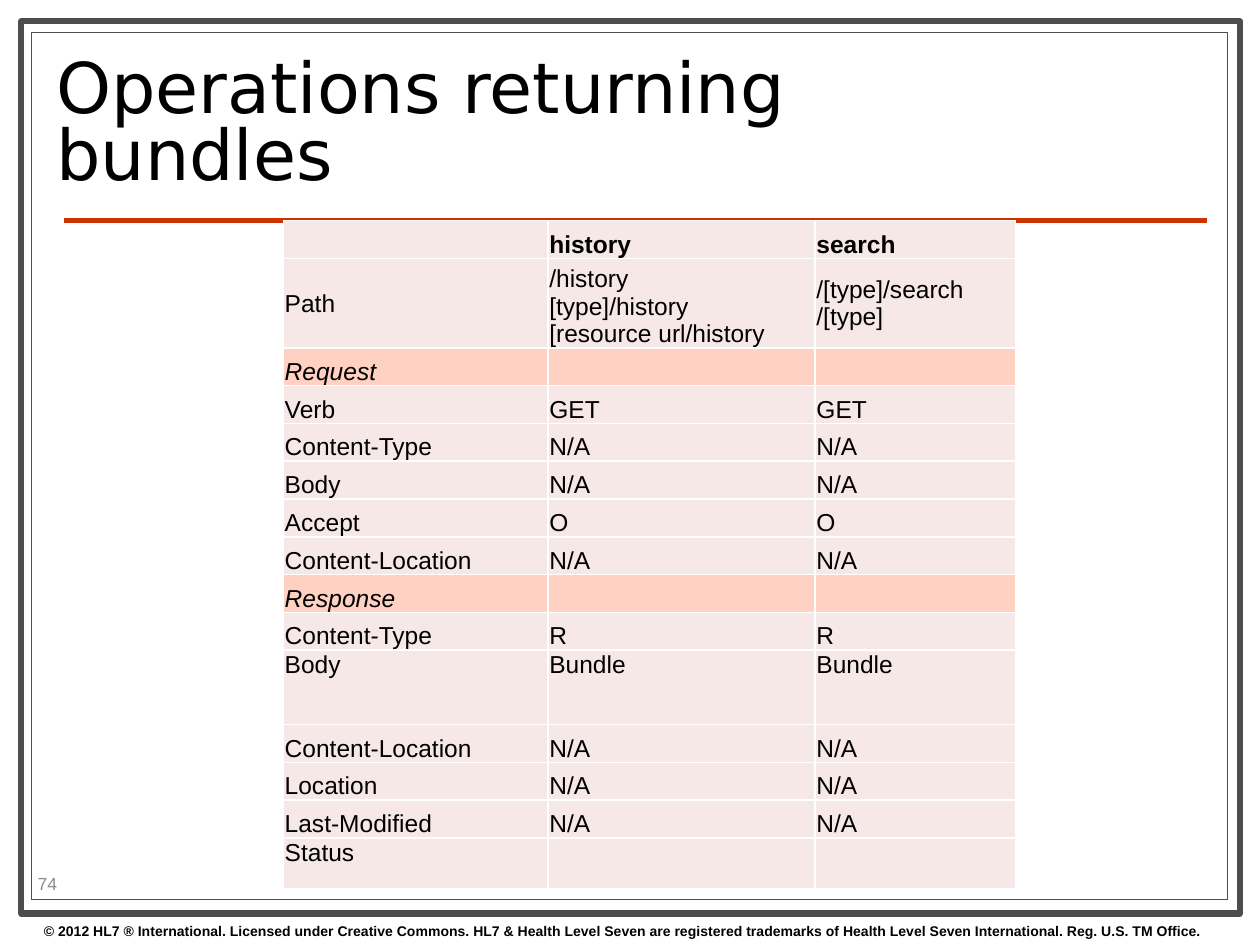
from pptx import Presentation
from pptx import util as u
from pptx.dml.color import RGBColor
from pptx.enum import shapes, text
from pptx.oxml import parse_xml
from pptx.oxml.ns import nsdecls

INK, FRAME, WHITE = "000000", "4D4D4D", "FFFFFF"
PLAIN, SECTION = "F6E8E7", "FFD1C2"
TOP, MIDDLE, BOTTOM = text.MSO_ANCHOR.TOP, text.MSO_ANCHOR.MIDDLE, text.MSO_ANCHOR.BOTTOM
COLUMNS = [2.1, 2.12, 1.59]
ROWS = [
    ("", "history", "search"),
    ("Path", "/history\n[type]/history\n[resource url/history", "/[type]/search\n/[type]"),
    ("Request", "", ""),
    ("Verb", "GET", "GET"),
    ("Content-Type", "N/A", "N/A"),
    ("Body", "N/A", "N/A"),
    ("Accept", "O", "O"),
    ("Content-Location", "N/A", "N/A"),
    ("Response", "", ""),
    ("Content-Type", "R", "R"),
    ("Body", "Bundle", "Bundle"),
    ("Content-Location", "N/A", "N/A"),
    ("Location", "N/A", "N/A"),
    ("Last-Modified", "N/A", "N/A"),
    ("Status", "", ""),
]
TALL_ROWS = {10: 0.59, 14: 0.4}


def rgb(value):
    """Return the colour for a hex string."""
    return RGBColor.from_string(value)


def inches(box):
    """Convert a tuple of inches to lengths."""
    return [u.Inches(v) for v in box]


def add_run(p, words, size, font="Arial", color=INK, bold=False, italic=False):
    """Append one formatted run to a paragraph."""
    r = p.add_run()
    r.text = words
    f = r.font
    f.name, f.size, f.bold, f.italic = font, u.Pt(size), bold, italic
    f.color.rgb = rgb(color)


def add_text(s, box, words, size, anchor=MIDDLE, spacing=None, **style):
    """Place a wrapped one-paragraph text box and return its frame."""
    tf = s.shapes.add_textbox(*inches(box)).text_frame
    tf.word_wrap = True
    tf.vertical_anchor = anchor
    p = tf.paragraphs[0]
    p.line_spacing = spacing
    add_run(p, words, size, **style)
    return tf


def add_frame(s, box, width):
    """Draw one white rectangle with a grey outline."""
    sp = s.shapes.add_shape(shapes.MSO_SHAPE.RECTANGLE, *inches(box))
    sp.shadow.inherit = False
    sp.fill.solid()
    sp.fill.fore_color.rgb = rgb(WHITE)
    sp.line.color.rgb = rgb(FRAME)
    sp.line.width = u.Pt(width)


def add_rule(s, left, right, y):
    """Draw the red rule below the title."""
    ends = inches((left, y, right, y))
    line = s.shapes.add_connector(shapes.MSO_CONNECTOR.STRAIGHT, *ends)
    line.line.color.rgb = rgb("CC3300")
    line.line.width = u.Pt(3)
    line._element.spPr.append(parse_xml(f"<a:effectLst {nsdecls('a')}/>"))


def set_borders(cell):
    """Give a cell thin white borders ahead of its fill."""
    tcPr = cell._tc.get_or_add_tcPr()
    for i, side in enumerate(("lnL", "lnR", "lnT", "lnB")):
        tcPr.insert(i, parse_xml(
            f'<a:{side} {nsdecls("a")} w="12700"><a:solidFill>'
            f'<a:srgbClr val="{WHITE}"/></a:solidFill></a:{side}>'))


def fill_cell(cell, words, anchor, fill, **style):
    """Set the text, insets, fill and borders of a cell."""
    cell.margin_left = cell.margin_right = cell.margin_top = u.Inches(0.01)
    cell.margin_bottom = 0
    cell.vertical_anchor = anchor
    cell.fill.solid()
    cell.fill.fore_color.rgb = rgb(fill)
    set_borders(cell)
    tf = cell.text_frame
    for i, line in enumerate(words.split("\n")):
        p = tf.add_paragraph() if i else tf.paragraphs[0]
        if line:
            add_run(p, line, 14, **style)
        else:
            p._p.get_or_add_endParaRPr().set("sz", "1400")


def add_operations(s, box):
    """Build the table of operations."""
    table = s.shapes.add_table(len(ROWS), len(COLUMNS), *inches(box)).table
    table.first_row = table.horz_banding = False
    for column, width in zip(table.columns, COLUMNS):
        column.width = u.Inches(width)
    for i, row in enumerate(ROWS):
        table.rows[i].height = u.Inches(TALL_ROWS.get(i, 0.3))
        section = row[0] in ("Request", "Response")
        for j, words in enumerate(row):
            anchor = TOP if i in TALL_ROWS else BOTTOM
            if row[0] == "Path" and j != 1:
                anchor = MIDDLE
            fill_cell(table.cell(i, j), words, anchor, SECTION if section else PLAIN,
                      bold=i == 0, italic=section)


def add_background(s):
    """Place the double frame, the rule and the copyright line."""
    add_frame(s, (0.17, 0.17, 9.67, 7.08), 3.5)
    add_frame(s, (0.25, 0.26, 9.49, 6.88), 0.75)
    add_rule(s, 0.51, 9.58, 1.75)
    tf = add_text(
        s, (0.25, 7.27, 10, 0.23),
        "© 2012 HL7 ® International. Licensed under Creative Commons. HL7 & Health Level Seven "
        "are registered trademarks of Health Level Seven International. Reg. U.S. TM Office.",
        8, TOP, bold=True)
    tf.auto_size = text.MSO_AUTO_SIZE.SHAPE_TO_FIT_TEXT


def main():
    """Build and save the slide."""
    prs = Presentation()
    prs.slide_width, prs.slide_height = u.Inches(10), u.Inches(7.5)
    s = prs.slides.add_slide(prs.slide_layouts[6])
    add_background(s)
    add_text(s, (0.35, 0.36, 7.17, 1.29), "Operations returning bundles", 40,
             spacing=0.8, font="DejaVu Sans")
    add_text(s, (0.2, 6.89, 0.79, 0.24), "74", 10, color="8C8C8C")
    add_operations(s, (2.25, 1.75, 5.8, 5.25))
    prs.save("out.pptx")


if __name__ == "__main__":
    main()
